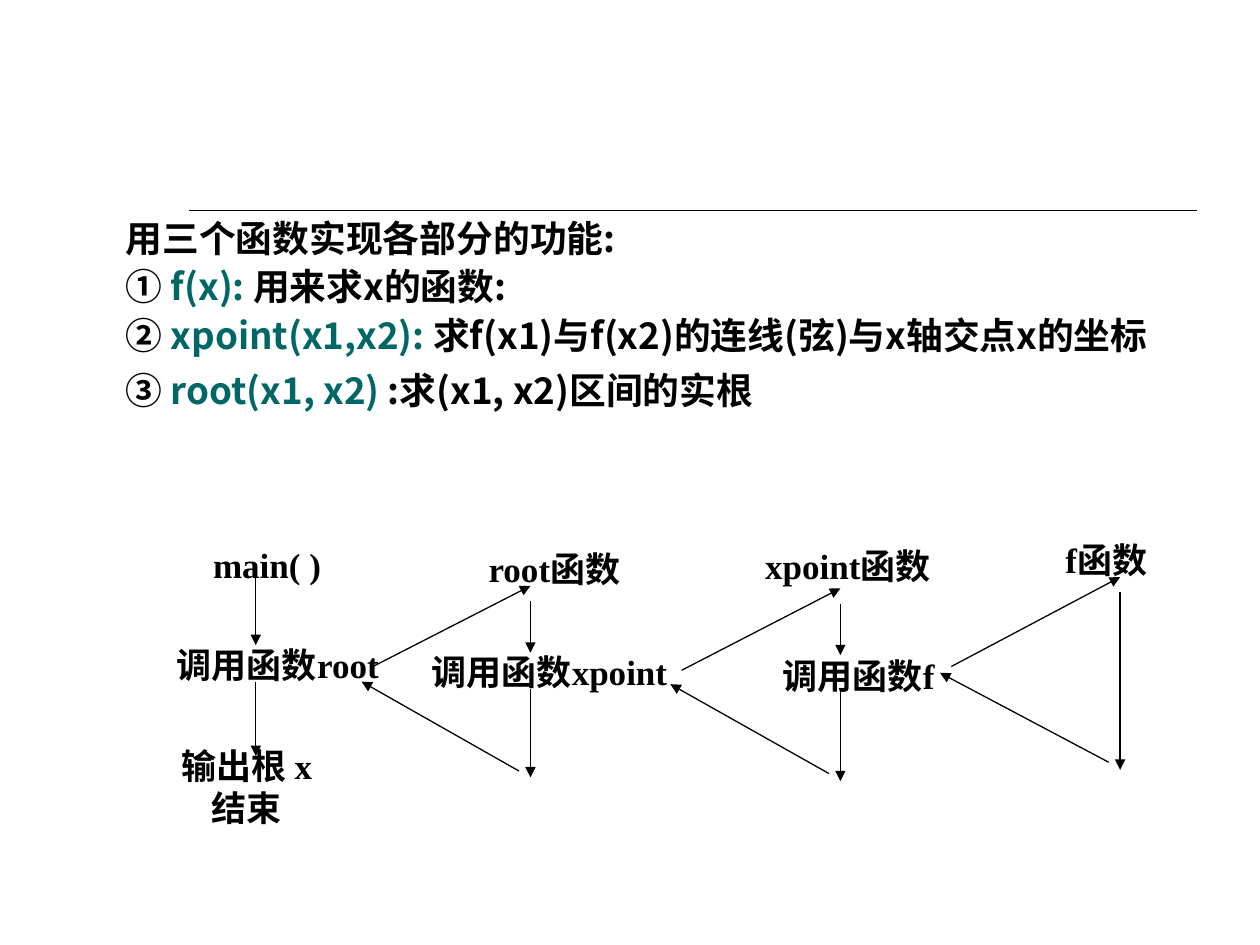
from lxml import etree
from pptx import Presentation
from pptx.dml.color import RGBColor
from pptx.enum.shapes import MSO_CONNECTOR
from pptx.enum.text import MSO_ANCHOR, MSO_AUTO_SIZE, PP_ALIGN
from pptx.oxml.ns import qn
from pptx.util import Pt

PX = 9144  # 100 px to the inch
LINE = MSO_CONNECTOR.STRAIGHT
MIDDLE = MSO_ANCHOR.MIDDLE
GROW = MSO_AUTO_SIZE.SHAPE_TO_FIT_TEXT
CENTER = PP_ALIGN.CENTER
SANS, SERIF = "Noto Sans CJK SC", "Times New Roman"
BLACK, TEAL = "000000", "006666"

# number, function name, meaning, space before in points
POINTS = [
    ("", "", "用三个函数实现各部分的功能:", 0),
    ("① ", "f(x): ", "用来求x的函数:", 5.2),
    ("② ", "xpoint(x1,x2): ", "求f(x1)与f(x2)的连线(弦)与x轴交点x的坐标", 5.2),
    ("③ ", "root(x1, x2)", " :求(x1, x2)区间的实根", 8.6),
]
# text, left, top, width, height
LABELS = [
    ("main( )", 159, 426, 106, 44),
    ("调用函数root", 127, 505, 187, 44),
    ("输出根 x\n结束", 126, 586, 140, 77),
    ("root函数", 374, 429, 132, 44),
    ("调用函数xpoint", 329, 511, 214, 44),
    ("xpoint函数", 594, 427, 158, 44),
    ("调用函数f", 608, 514, 147, 44),
    ("f函数", 828, 422, 100, 44),
]
# axis x, top y, reach to the caller, rise of the call arrow, stretches of the axis
CALLS = [
    (421, 465, 125, 64, [(12, 53), (82, 152)]),
    (667, 467, 126, 65, [(12, 53), (82, 153)]),
    (889, 458, 134, 71, [(12, 153)]),
]


def color(code):
    return RGBColor.from_string(code)


def style(run, size, face, code=BLACK):
    font = run.font
    font.size, font.name, font.bold = Pt(size), face, True
    font.color.rgb = color(code)
    east = etree.SubElement(run._r.get_or_add_rPr(), qn("a:ea"))
    east.set("typeface", SANS)


def add_box(slide, left, top, width, height):
    box = slide.shapes.add_textbox(left * PX, top * PX, width * PX, height * PX)
    return box.text_frame


def add_points(slide):
    frame = add_box(slide, 90, 170, 843, 273)
    frame.word_wrap = True
    for i, (mark, name, text, gap) in enumerate(POINTS):
        para = frame.add_paragraph() if i else frame.paragraphs[0]
        props = para._p.get_or_add_pPr()
        props.set("marL", str(38 * PX))
        props.set("indent", str(-38 * PX))
        para.line_spacing = 0.9
        para.space_before = Pt(gap)
        for part, code in ((mark, BLACK), (name, TEAL), (text, BLACK)):
            if part:
                run = para.add_run()
                run.text = part
                style(run, 21, SANS, code)


def add_label(slide, text, *place):
    frame = add_box(slide, *place)
    frame.word_wrap = False
    frame.auto_size = GROW
    frame.vertical_anchor = MIDDLE
    frame.text = text
    for para in frame.paragraphs:
        para.alignment = CENTER
        style(para.runs[0], 20, SERIF)


def add_line(slide, x1, y1, x2, y2, width=0.75, arrow=True):
    line = slide.shapes.add_connector(LINE, x1 * PX, y1 * PX, x2 * PX, y2 * PX)
    line.line.width = Pt(width)
    line.line.color.rgb = color(BLACK)
    if arrow:
        tail = etree.SubElement(line.line._get_or_add_ln(), qn("a:tailEnd"))
        tail.set("type", "triangle")
    etree.SubElement(line._element.spPr, qn("a:effectLst"))


def add_call(slide, x, y, reach, rise, steps):
    """Draw the call arrow, the steps down the axis and the return arrow."""
    add_line(slide, x - reach, y + rise, x, y)
    for start, end in steps:
        add_line(slide, x, y + start, x, y + end)
    add_line(slide, x - 9, y + 147, x - reach - 9, y + 76)


def main():
    deck = Presentation()
    deck.slide_width, deck.slide_height = 1000 * PX, 750 * PX
    slide = deck.slides.add_slide(deck.slide_layouts[6])
    add_line(slide, 150, 167, 950, 167, 1, False)
    add_points(slide)
    for label in LABELS:
        add_label(slide, *label)
    for start, end in ((459, 512), (541, 600)):
        add_line(slide, 203, start, 203, end)
    for call in CALLS:
        add_call(slide, *call)
    deck.save("out.pptx")


if __name__ == "__main__":
    main()
